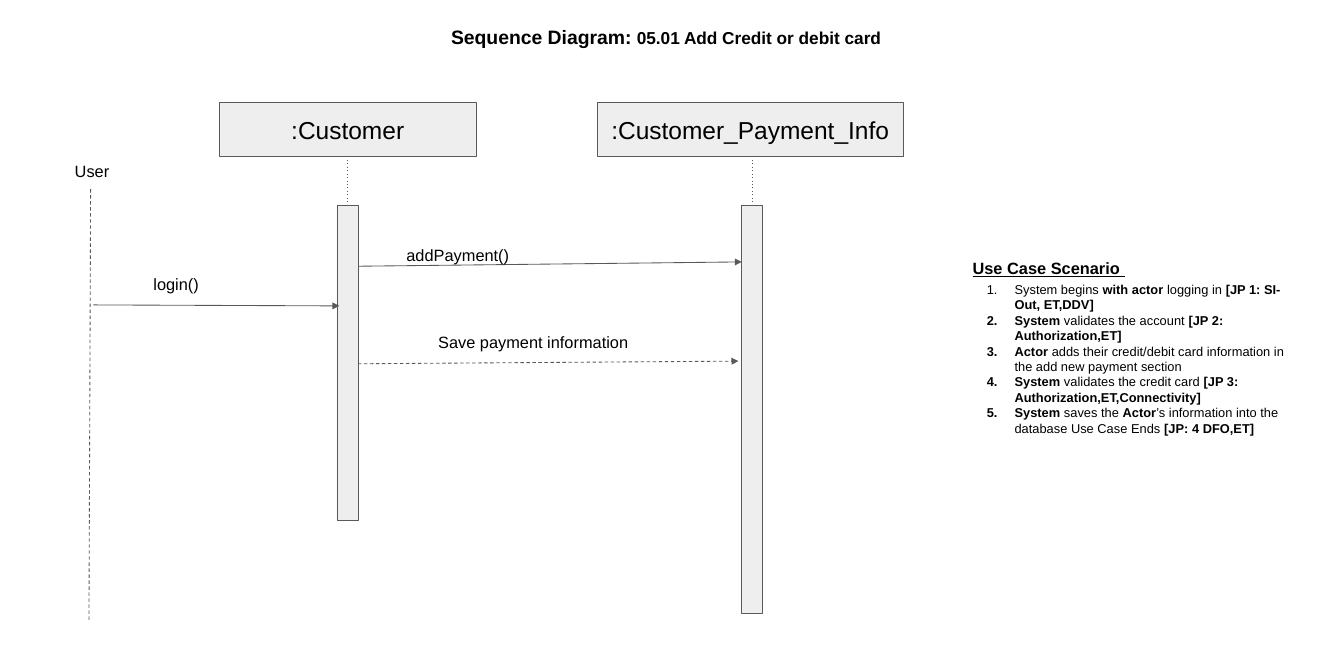
from pptx import Presentation
from pptx.dml.color import RGBColor
from pptx.enum.shapes import MSO_CONNECTOR, MSO_SHAPE
from pptx.enum.text import MSO_ANCHOR, PP_ALIGN
from pptx.oxml.ns import qn
from pptx.util import Cm, Pt
from lxml import etree

RECTANGLE = MSO_SHAPE.RECTANGLE
STRAIGHT = MSO_CONNECTOR.STRAIGHT
MIDDLE = MSO_ANCHOR.MIDDLE
CENTER = PP_ALIGN.CENTER

FONT = "Arial"
BLACK, GRAY, LIGHT_GRAY = "000000", "595959", "EEEEEE"
LINE_WIDTH = Pt(0.75)

HEADER_TOP, HEADER_HEIGHT = 3.1, 1.63
BAR_TOP, BAR_WIDTH = 6.22, 0.64

# Header left, header width, lifeline axis, activation bar height (cm)
PARTICIPANTS = [
    (":Customer", 6.63, 7.77, 10.51, 9.53),
    (":Customer_Payment_Info", 18.06, 9.25, 22.74, 12.34),
]

# Start, end, dash (cm)
MESSAGES = [
    ((2.82, 9.22), (10.26, 9.25), None),
    ((10.85, 8.05), (22.43, 7.92), None),
    ((10.82, 11), (22.33, 10.92), "dash"),
]

# Text, left, top, width (cm)
LABELS = [
    ("User", 2.01, 4.62, 1.9),
    ("login()", 4.39, 8.05, 3.12),
    ("addPayment()", 12.04, 7.16, 7.44),
    ("Save payment information", 13, 9.8, 6.45),
]

# Each step is a list of (text, bold) runs
STEPS = [
    [("System begins ", False), ("with actor", True), (" logging in ", False),
     ("[JP 1: SI-Out, ET,DDV]", True)],
    [("System", True), (" validates the account ", False),
     ("[JP 2: Authorization,ET]", True)],
    [("Actor", True),
     (" adds their credit/debit card information in the add new payment section", False)],
    [("System", True), (" validates the credit card ", False),
     ("[JP 3: Authorization,ET,Connectivity]", True)],
    [("System", True), (" saves the ", False), ("Actor", True),
     ("’s information into the database Use Case Ends", False),
     (" [JP: 4 DFO,ET]", True)],
]


def color(value):
    return RGBColor.from_string(value)


def add_run(paragraph, text, size, bold=False, underline=False):
    run = paragraph.add_run()
    run.text = text
    run.font.name = FONT
    run.font.size = Pt(size)
    run.font.bold = bold
    run.font.underline = underline
    run.font.color.rgb = color(BLACK)


def set_margins(text_frame, margin):
    text_frame.word_wrap = True
    text_frame.margin_left = text_frame.margin_right = Cm(margin)
    text_frame.margin_top = text_frame.margin_bottom = Cm(margin)


def add_text_box(slide, left, top, width, height, margin=0.25):
    """Add an empty text box and return its text frame."""
    box = slide.shapes.add_textbox(Cm(left), Cm(top), Cm(width), Cm(height))
    set_margins(box.text_frame, margin)
    return box.text_frame


def add_label(slide, text, left, top, width):
    text_frame = add_text_box(slide, left, top, width, 1.12)
    add_run(text_frame.paragraphs[0], text, 14)


def add_box(slide, left, top, width, height):
    shape = slide.shapes.add_shape(RECTANGLE, Cm(left), Cm(top), Cm(width), Cm(height))
    shape.shadow.inherit = False
    shape.fill.solid()
    shape.fill.fore_color.rgb = color(LIGHT_GRAY)
    shape.line.color.rgb = color(GRAY)
    shape.line.width = LINE_WIDTH
    return shape


def add_line(slide, start, end, dash=None, arrow=False):
    connector = slide.shapes.add_connector(
        STRAIGHT, Cm(start[0]), Cm(start[1]), Cm(end[0]), Cm(end[1]))
    connector.line.color.rgb = color(GRAY)
    connector.line.width = LINE_WIDTH
    properties = connector._element.spPr
    line = properties.find(qn("a:ln"))
    if dash:
        etree.SubElement(line, qn("a:prstDash"), val=dash)
    if arrow:
        etree.SubElement(line, qn("a:tailEnd"), type="triangle")
    etree.SubElement(properties, qn("a:effectLst"))


def add_participant(slide, name, left, width, axis, bar_height):
    """Add a header, its dotted lifeline and its activation bar."""
    header = add_box(slide, left, HEADER_TOP, width, HEADER_HEIGHT)
    text_frame = header.text_frame
    set_margins(text_frame, 0.38)
    text_frame.vertical_anchor = MIDDLE
    text_frame.paragraphs[0].alignment = CENTER
    add_run(text_frame.paragraphs[0], name, 21)
    add_line(slide, (axis, HEADER_TOP + HEADER_HEIGHT), (axis, BAR_TOP), "dot")
    add_box(slide, axis - BAR_WIDTH / 2, BAR_TOP, BAR_WIDTH, bar_height)


def number_paragraph(paragraph):
    properties = paragraph._p.get_or_add_pPr()
    properties.set("marL", str(Cm(1.27)))
    properties.set("indent", str(Cm(-0.84)))
    bullet_color = etree.SubElement(properties, qn("a:buClr"))
    etree.SubElement(bullet_color, qn("a:srgbClr"), val=BLACK)
    etree.SubElement(properties, qn("a:buFont"), typeface=FONT)
    etree.SubElement(properties, qn("a:buAutoNum"), type="arabicPeriod")


def add_scenario(slide):
    text_frame = add_text_box(slide, 29.16, 7.57, 9.98, 5.92)
    add_run(text_frame.paragraphs[0], "Use Case Scenario ", 14, bold=True, underline=True)
    for index, step in enumerate(STEPS):
        paragraph = text_frame.add_paragraph()
        paragraph.space_before = Pt(0 if index else 3)
        number_paragraph(paragraph)
        for text, bold in step:
            add_run(paragraph, text, 11, bold)


def add_title(slide):
    text_frame = add_text_box(slide, 13.34, 0.46, 14, 1.32, margin=0.3)
    add_run(text_frame.paragraphs[0], "Sequence Diagram: ", 16.6, bold=True)
    add_run(text_frame.paragraphs[0], "05.01 Add Credit or debit card", 14.8, bold=True)


def main():
    presentation = Presentation()
    presentation.slide_width = Cm(40.64)
    presentation.slide_height = Cm(20.32)
    slide = presentation.slides.add_slide(presentation.slide_layouts[6])

    add_title(slide)
    for participant in PARTICIPANTS:
        add_participant(slide, *participant)
    add_line(slide, (2.74, 5.72), (2.69, 18.75), "dash")
    for start, end, dash in MESSAGES:
        add_line(slide, start, end, dash, arrow=True)
    for label in LABELS:
        add_label(slide, *label)
    add_scenario(slide)

    presentation.save("out.pptx")


if __name__ == "__main__":
    main()
